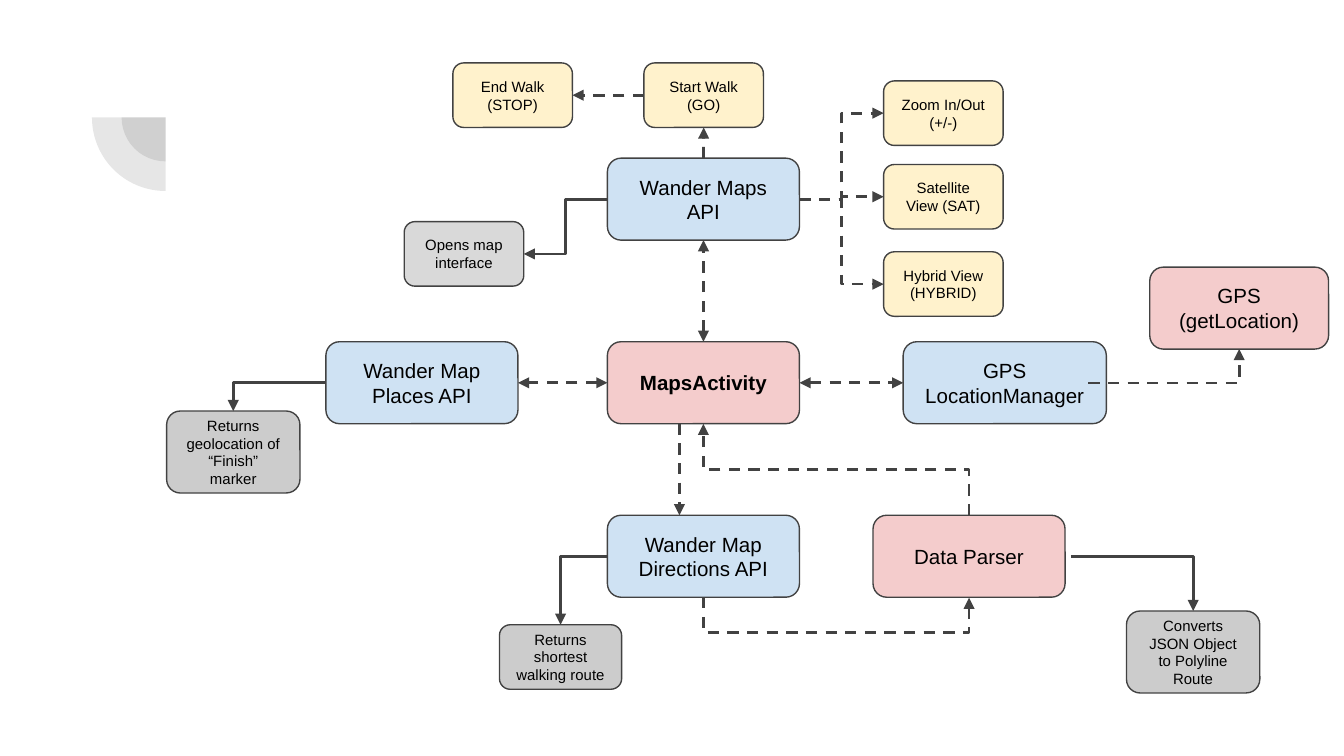
from lxml import etree
from pptx import Presentation
from pptx.dml.color import RGBColor
from pptx.enum.dml import MSO_LINE
from pptx.enum.shapes import MSO_CONNECTOR, MSO_SHAPE
from pptx.enum.text import MSO_ANCHOR, PP_ALIGN
from pptx.oxml.ns import qn
from pptx.util import Cm, Pt

ROUNDED, PIE = MSO_SHAPE.ROUNDED_RECTANGLE, MSO_SHAPE.PIE
STRAIGHT, ELBOW = MSO_CONNECTOR.STRAIGHT, MSO_CONNECTOR.ELBOW
DASH = MSO_LINE.DASH
MIDDLE, CENTER = MSO_ANCHOR.MIDDLE, PP_ALIGN.CENTER
TOP, LEFT, BOTTOM, RIGHT = range(4)  # connection sites of a box

COLORS = {
    "ink": "424242", "text": "000000", "red": "F4CCCC", "blue": "CFE2F3",
    "yellow": "FFF2CC", "light gray": "D9D9D9", "gray": "CCCCCC",
}


def color(name):
    return RGBColor.from_string(COLORS[name])


def write_text(shape, text, size=11, bold=False, font="Arial", ink="text"):
    frame = shape.text_frame
    frame.word_wrap = True
    frame.vertical_anchor = MIDDLE
    frame.margin_left = frame.margin_right = Cm(0.25)
    frame.margin_top = frame.margin_bottom = Cm(0.25)
    paragraph = frame.paragraphs[0]
    paragraph.alignment = CENTER
    run = paragraph.add_run()
    run.text = text
    run.font.size = Pt(size)
    run.font.bold = bold
    run.font.name = font
    run.font.color.rgb = color(ink)


presentation = Presentation()
presentation.slide_width, presentation.slide_height = Cm(25.4), Cm(14.29)
slide = presentation.slides.add_slide(presentation.slide_layouts[6])
shapes = slide.shapes

# Corner ornament: two concentric translucent quarter circles
center_x, center_y = 3.13, 2.22
for diameter in (1.66, 2.78):
    quarter = shapes.add_shape(
        PIE, Cm(center_x - diameter / 2), Cm(center_y - diameter / 2),
        Cm(diameter), Cm(diameter))
    quarter.adjustments[0], quarter.adjustments[1] = 107.93, 162
    quarter.rotation = 270
    quarter.shadow.inherit = False
    quarter.line.fill.background()
    quarter.fill.solid()
    quarter.fill.fore_color.rgb = color("ink")
    srgb = quarter.fill._xPr.find(".//" + qn("a:srgbClr"))
    etree.SubElement(srgb, qn("a:alpha"), val="13000")

# Boxes: key, text, fill, left, top, width, height, size
LARGE = (3.63, 1.55, 11)
SMALL = (2.26, 1.22, 8)
NOTE = (2.52, 1.55, 8)
MAIN_X, UPPER_Y, MIDDLE_Y, LOWER_Y = 11.48, 2.99, 6.46, 9.74
box_rows = [
    ("activity", "MapsActivity", "red", MAIN_X, MIDDLE_Y, *LARGE),
    ("maps", "Wander Maps API", "blue", MAIN_X, UPPER_Y, *LARGE),
    ("places", "Wander Map Places API", "blue", 6.16, MIDDLE_Y, *LARGE),
    ("directions", "Wander Map Directions API", "blue", MAIN_X, LOWER_Y, *LARGE),
    ("interface", "Opens map interface", "light gray", 7.64, 4.19, *SMALL),
    ("geolocation", "Returns geolocation of “Finish” marker", "gray", 3.15, 7.77, *NOTE),
    ("route", "Returns shortest walking route", "gray", 9.44, 11.81, 2.31, 1.22, 8),
    ("manager", "GPS LocationManager", "blue", 17.07, MIDDLE_Y, 3.84, 1.55, 11),
    ("parser", "Data Parser", "red", 16.5, LOWER_Y, *LARGE),
    ("polyline", "Converts JSON Object to Polyline Route", "gray", 21.29, 11.55, *NOTE),
    ("zoom", "Zoom In/Out (+/-)", "yellow", 16.7, 1.53, *SMALL),
    ("satellite", "Satellite View (SAT)", "yellow", 16.7, 3.11, *SMALL),
    ("hybrid", "Hybrid View (HYBRID)", "yellow", 16.7, 4.76, *SMALL),
    ("start", "Start Walk (GO)", "yellow", 12.17, 1.19, *SMALL),
    ("end", "End Walk (STOP)", "yellow", 8.56, 1.19, *SMALL),
    ("gps", "GPS (getLocation)", "red", 21.73, 5.05, 3.38, 1.55, 11),
]
boxes = {}
for key, text, fill, left, top, width, height, size in box_rows:
    box = shapes.add_shape(ROUNDED, Cm(left), Cm(top), Cm(width), Cm(height))
    box.shadow.inherit = False
    box.fill.solid()
    box.fill.fore_color.rgb = color(fill)
    box.line.color.rgb = color("ink")
    box.line.width = Pt(0.75)
    write_text(box, text, size=size, bold=key == "activity")
    boxes[key] = box

# Arrows: start, end, route, dashed, double-headed.
# An end is (box, site) where it is attached, or a free point in cm.
# "corner" turns once, "step" twice, "rise" and "loop" leave vertically.
arrow_rows = [
    (("activity", TOP), ("maps", BOTTOM), "straight", True, True),
    (("activity", RIGHT), ("manager", LEFT), "straight", True, True),
    (("activity", LEFT), ("places", RIGHT), "straight", True, True),
    ((12.84, 8.01), (12.84, 9.74), "straight", True, False),
    (("directions", BOTTOM), ("parser", BOTTOM), "loop", True, False),
    (("parser", TOP), ("activity", BOTTOM), "rise", True, False),
    (("directions", LEFT), ("route", TOP), "corner", False, False),
    (("maps", LEFT), ("interface", RIGHT), "step", False, False),
    (("places", LEFT), ("geolocation", TOP), "corner", False, False),
    ((20.24, 10.52), ("polyline", TOP), "corner", False, False),
    (("maps", TOP), ("start", BOTTOM), "straight", True, False),
    (("start", LEFT), ("end", RIGHT), "straight", True, False),
    (("maps", RIGHT), ("zoom", LEFT), "step", True, False),
    (("maps", RIGHT), ("satellite", LEFT), "step", True, False),
    (("maps", RIGHT), ("hybrid", LEFT), "step", True, False),
    ((20.57, 7.24), ("gps", BOTTOM), "corner", True, False),
]
for start, end, route, dashed, double in arrow_rows:
    start_point, end_point = (
        (0, 0) if point[0] in boxes else (Cm(point[0]), Cm(point[1]))
        for point in (start, end))
    arrow = shapes.add_connector(
        STRAIGHT if route == "straight" else ELBOW, *start_point, *end_point)
    if start[0] in boxes:
        arrow.begin_connect(boxes[start[0]], start[1])
    if end[0] in boxes:
        arrow.end_connect(boxes[end[0]], end[1])
    properties = arrow._element.spPr
    geometry = properties.find(qn("a:prstGeom"))
    if route == "corner":
        geometry.set("prst", "bentConnector2")
    elif route in ("rise", "loop"):
        # A quarter turn makes the first segment vertical
        left, top, width = arrow.left, arrow.top, arrow.width
        height = arrow.height if route == "rise" else Cm(0.01)
        arrow.left = left + (width - height) // 2
        arrow.top = top + (height - width) // 2
        arrow.width, arrow.height = height, width
        frame = properties.find(qn("a:xfrm"))
        frame.set("rot", "5400000" if route == "rise" else "16200000")
        frame.set("flipH", "1")
        frame.set("flipV", "0")
        if route == "loop":
            # Bend 0.66 cm below the boxes, as a multiple of the 0.01 cm depth
            guides = geometry.find(qn("a:avLst"))
            etree.SubElement(guides, qn("a:gd"), name="adj1", fmla="val 6600000")
    arrow.line.color.rgb = color("ink")
    arrow.line.width = Pt(1.5)
    if dashed:
        arrow.line.dash_style = DASH
    line = properties.find(qn("a:ln"))
    for tag in ("a:headEnd", "a:tailEnd") if double else ("a:tailEnd",):
        etree.SubElement(line, qn(tag), type="triangle", w="med", len="med")
    etree.SubElement(properties, qn("a:effectLst"))

presentation.save("out.pptx")
